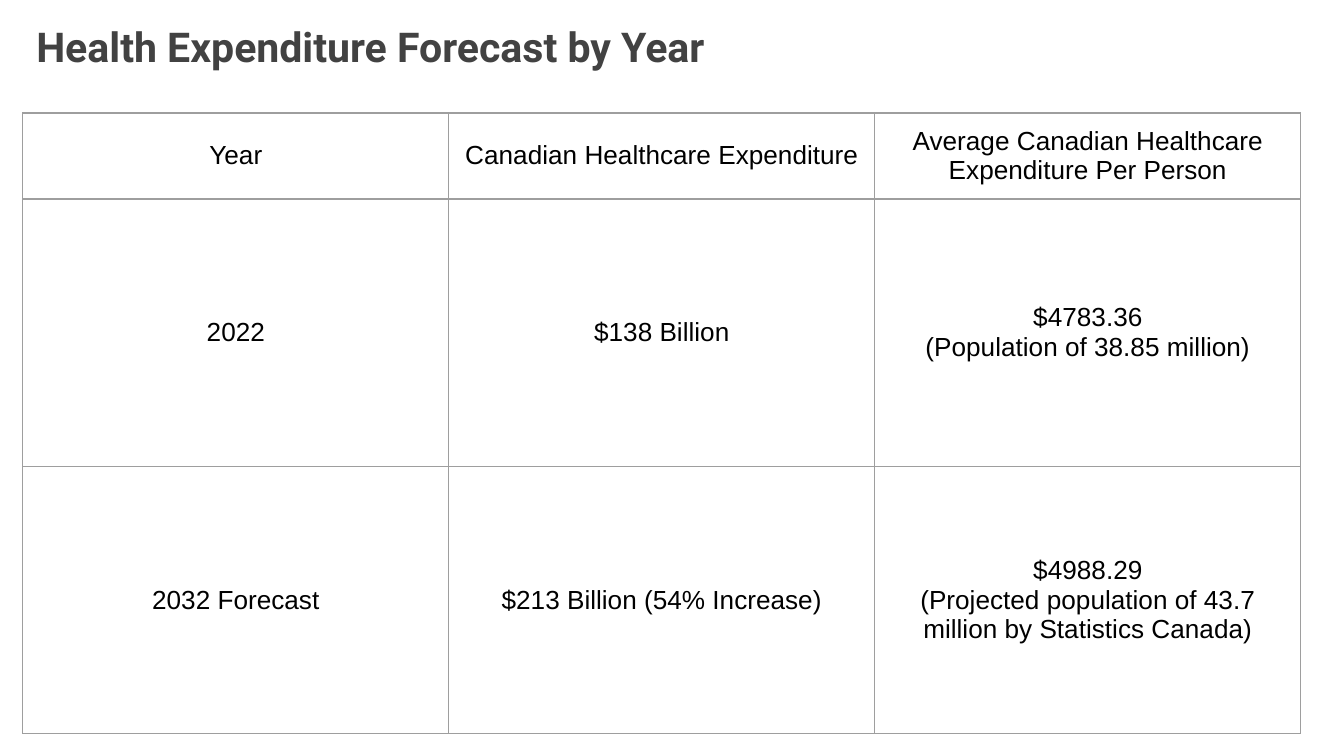
"""Build a slide that tabulates Canadian health expenditure by year."""
from dataclasses import dataclass

from lxml.etree import SubElement
from pptx import Presentation
from pptx.dml.color import RGBColor
from pptx.enum.text import MSO_ANCHOR, MSO_AUTO_SIZE, PP_ALIGN
from pptx.oxml.ns import qn
from pptx.slide import Slide
from pptx.table import _Cell
from pptx.util import Inches, Pt


@dataclass(frozen=True)
class Theme:
    """Colours, fonts and sizes of the slide."""

    background: RGBColor = RGBColor(0xFF, 0xFF, 0xFF)
    title_color: RGBColor = RGBColor(0x42, 0x42, 0x42)
    body_color: RGBColor = RGBColor(0x00, 0x00, 0x00)
    border_color: str = "9E9E9E"
    title_font: str = "Roboto"
    body_font: str = "Arial"
    title_size: Pt = Pt(22)
    body_size: Pt = Pt(14)
    border_width: Pt = Pt(0.75)
    inset: Inches = Inches(0.1)


@dataclass(frozen=True)
class ForecastRow:
    """One row of the expenditure table."""

    year: str
    total: str
    per_person: str
    height: float


THEME = Theme()
SLIDE_WIDTH = Inches(10)
SLIDE_HEIGHT = SLIDE_WIDTH * 9 // 16
COLUMN_WIDTH = 3.17
FORECAST = [
    ForecastRow(
        "Year",
        "Canadian Healthcare Expenditure",
        "Average Canadian Healthcare Expenditure Per Person",
        0.64,
    ),
    ForecastRow("2022", "$138 Billion", "$4783.36\n(Population of 38.85 million)", 1.99),
    ForecastRow(
        "2032 Forecast",
        "$213 Billion (54% Increase)",
        "$4988.29\n(Projected population of 43.7 million by Statistics Canada)",
        1.99,
    ),
]


def add_borders(cell: _Cell) -> None:
    """Draw the same thin line on all four sides of a cell."""
    properties = cell._tc.get_or_add_tcPr()
    for side in ("lnL", "lnR", "lnT", "lnB"):
        border = SubElement(properties, qn(f"a:{side}"), w=str(THEME.border_width))
        fill = SubElement(border, qn("a:solidFill"))
        SubElement(fill, qn("a:srgbClr"), val=THEME.border_color)


def fill_cell(cell: _Cell, wording: str) -> None:
    """Write centred wording into a bordered, unfilled cell."""
    cell.text = wording
    cell.vertical_anchor = MSO_ANCHOR.MIDDLE
    cell.margin_left = cell.margin_right = THEME.inset
    cell.margin_top = cell.margin_bottom = THEME.inset
    add_borders(cell)
    cell.fill.background()
    for paragraph in cell.text_frame.paragraphs:
        paragraph.alignment = PP_ALIGN.CENTER
        paragraph.font.name = THEME.body_font
        paragraph.font.size = THEME.body_size
        paragraph.font.color.rgb = THEME.body_color


def set_title(slide: Slide, wording: str) -> None:
    """Place and format the slide title."""
    title = slide.shapes.title
    title.left, title.top = Inches(0.17), Inches(0.06)
    title.width, title.height = Inches(6.22), Inches(0.57)
    frame = title.text_frame
    frame.text = wording
    frame.word_wrap = True
    frame.auto_size = MSO_AUTO_SIZE.NONE
    frame.vertical_anchor = MSO_ANCHOR.TOP
    frame.margin_left = frame.margin_right = THEME.inset
    frame.margin_top = frame.margin_bottom = THEME.inset
    heading = frame.paragraphs[0]
    heading.alignment = PP_ALIGN.LEFT
    heading.font.name = THEME.title_font
    heading.font.size = THEME.title_size
    heading.font.bold = True
    heading.font.color.rgb = THEME.title_color


def add_forecast(slide: Slide, rows: list[ForecastRow]) -> None:
    """Add the expenditure table."""
    table = slide.shapes.add_table(
        len(rows), 3, Inches(0.17), Inches(0.84),
        Inches(3 * COLUMN_WIDTH), Inches(sum(row.height for row in rows)),
    ).table
    table.first_row = table.horz_banding = False
    for column in table.columns:
        column.width = Inches(COLUMN_WIDTH)
    for table_row, row in zip(table.rows, rows):
        table_row.height = Inches(row.height)
        for cell, wording in zip(table_row.cells, (row.year, row.total, row.per_person)):
            fill_cell(cell, wording)


def main() -> None:
    """Build and save the presentation."""
    presentation = Presentation()
    presentation.slide_width = SLIDE_WIDTH
    presentation.slide_height = SLIDE_HEIGHT
    slide = presentation.slides.add_slide(presentation.slide_layouts[5])
    slide.background.fill.solid()
    slide.background.fill.fore_color.rgb = THEME.background
    set_title(slide, "Health Expenditure Forecast by Year")
    add_forecast(slide, FORECAST)
    presentation.save("out.pptx")


if __name__ == "__main__":
    main()
